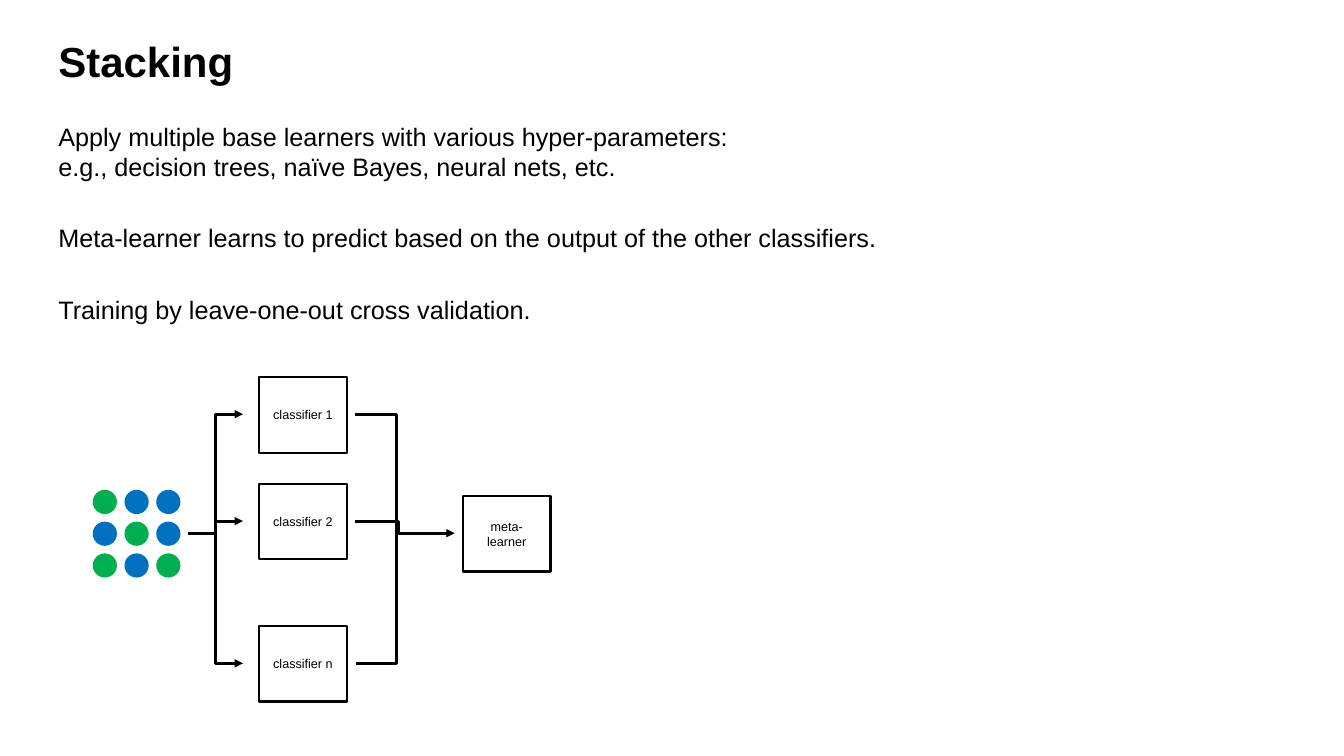
from dataclasses import dataclass

from lxml.etree import SubElement
from pptx import Presentation
from pptx.dml.color import RGBColor as RGB
from pptx.enum.shapes import MSO_CONNECTOR as LINK, MSO_SHAPE as SHAPE
from pptx.enum.text import MSO_ANCHOR as ANCHOR, PP_ALIGN as ALIGN
from pptx.oxml.ns import qn
from pptx.util import Inches, Pt


@dataclass(frozen=True)
class Theme:
    face: str = "Arial"
    ink: RGB = RGB(0, 0, 0)
    green: RGB = RGB(0x00, 0xB0, 0x50)
    blue: RGB = RGB(0x00, 0x70, 0xC0)
    title: Pt = Pt(30)
    body: Pt = Pt(18)
    label: Pt = Pt(9)
    gap: Pt = Pt(29.6)
    edge: Pt = Pt(1.5)
    wire: Pt = Pt(2)


class Board:
    def __init__(self, slide, theme):
        self.slide = slide
        self.theme = theme

    def fill(self, frame, paras, size, bold=False, align=ALIGN.LEFT,
             anchor=ANCHOR.TOP):
        """Fill a text frame, with a gap between paragraphs."""
        for key, val in {"word_wrap": True, "vertical_anchor": anchor}.items():
            setattr(frame, key, val)
        look = {"name": self.theme.face, "size": size, "bold": bold}
        for num, words in enumerate(paras):
            para = frame.add_paragraph() if num else frame.paragraphs[0]
            para.text = words
            para.alignment = align
            if num:
                para.space_before = self.theme.gap
            for run in para.runs:
                for key, val in look.items():
                    setattr(run.font, key, val)
                run.font.color.rgb = self.theme.ink

    def text(self, area, paras, size, **style):
        box = self.slide.shapes.add_textbox(*map(Inches, area))
        self.fill(box.text_frame, paras, size, **style)

    def box(self, left, top, label):
        rect = self.slide.shapes.add_shape(
            SHAPE.RECTANGLE, *map(Inches, (left, top, 0.87, 0.75)))
        rect.shadow.inherit = False
        rect.fill.background()
        rect.line.color.rgb = self.theme.ink
        rect.line.width = self.theme.edge
        self.fill(rect.text_frame, [label], self.theme.label,
                  align=ALIGN.CENTER, anchor=ANCHOR.MIDDLE)

    def dots(self, left, top, rows, step=0.315, size=0.24):
        group = self.slide.shapes.add_group_shape()
        tints = {"g": self.theme.green, "b": self.theme.blue}
        for row, marks in enumerate(rows):
            for col, mark in enumerate(marks):
                area = (left + col * step, top + row * step, size, size)
                dot = group.shapes.add_shape(SHAPE.OVAL, *map(Inches, area))
                dot.shadow.inherit = False
                dot.fill.solid()
                dot.fill.fore_color.rgb = tints[mark]
                dot.line.fill.background()

    def elbow(self, start, end, bend, arrow=True):
        """Draw a bent line whose upright part stands at x = bend."""
        wire = self.slide.shapes.add_connector(
            LINK.ELBOW, *map(Inches, (*start, *end)))
        wire.line.color.rgb = self.theme.ink
        wire.line.width = self.theme.wire
        props = wire._element.spPr
        ratio = round((bend - start[0]) / (end[0] - start[0]) * 100000)
        guides = props.find(qn("a:prstGeom")).find(qn("a:avLst"))
        SubElement(guides, qn("a:gd"), name="adj1", fmla=f"val {ratio}")
        if arrow:
            SubElement(props.find(qn("a:ln")), qn("a:tailEnd"), type="triangle")
        SubElement(props, qn("a:effectLst"))


def main():
    deck = Presentation()
    deck.slide_width, deck.slide_height = Inches(13.33), Inches(7.5)
    theme = Theme()
    board = Board(deck.slides.add_slide(deck.slide_layouts[6]), theme)

    # Title and body
    board.text((0.48, 0.29, 12.38, 0.63), ["Stacking"], theme.title,
               bold=True, anchor=ANCHOR.MIDDLE)
    board.text((0.48, 1.15, 12.38, 2.2), [
        "Apply multiple base learners with various hyper-parameters:\n"
        "e.g., decision trees, naïve Bayes, neural nets, etc.",
        "Meta-learner learns to predict based on the output of the other "
        "classifiers.",
        "Training by leave-one-out cross validation.",
    ], theme.body)

    # Training data
    board.dots(0.92, 4.86, ["gbb", "bgb", "gbg"])

    # Base learners, each fed by the data
    mid = 5.29
    rows = {"classifier 1": 4.11, "classifier 2": 5.17, "classifier n": 6.58}
    for label, y in rows.items():
        board.elbow((1.86, mid), (2.41, y), 2.14)
        board.box(2.57, y - 0.37, label)

    # Meta-learner, fed by the base learners
    board.box(4.59, mid - 0.37, "meta-learner")
    first, second, last = rows.values()
    board.elbow((3.52, second), (4.51, mid), 3.95)
    board.elbow((3.52, first), (3.53, last), 3.94, arrow=False)

    deck.save("out.pptx")


if __name__ == "__main__":
    main()
